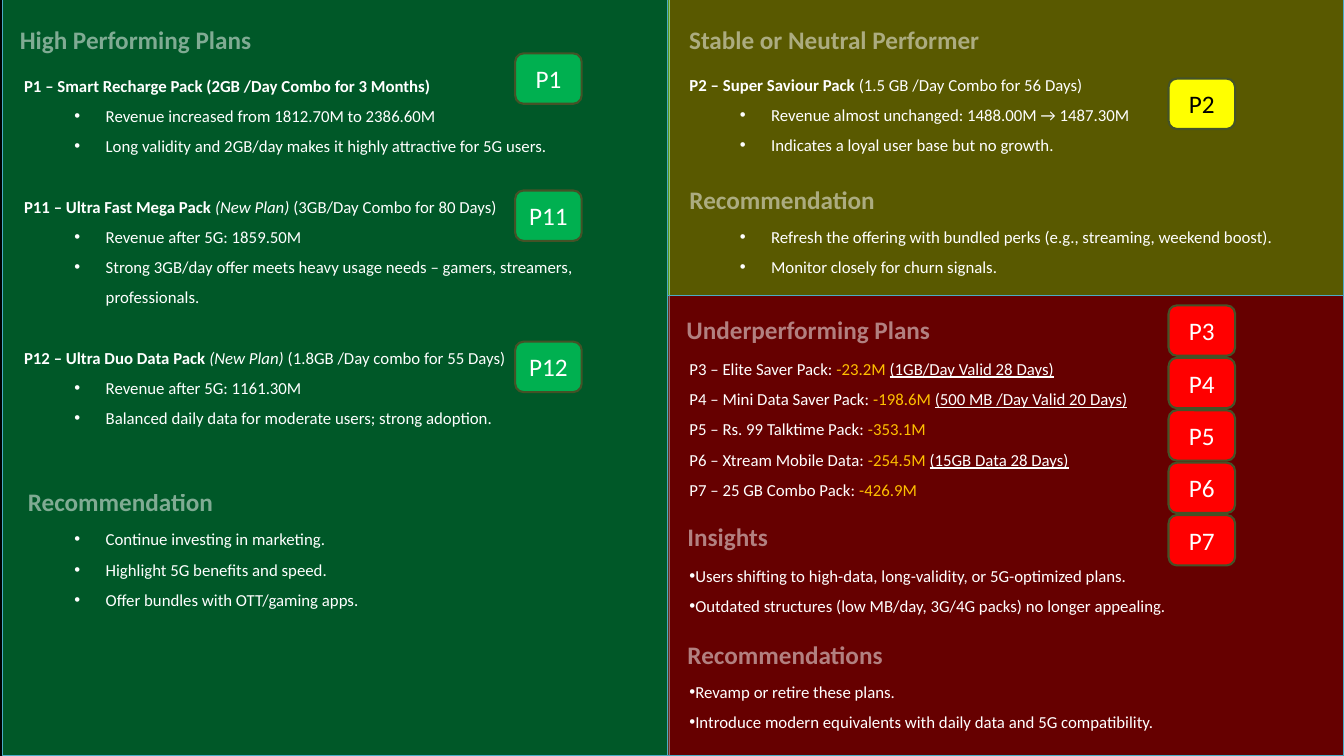
from lxml import etree
from pptx import Presentation
from pptx.dml.color import RGBColor
from pptx.enum.shapes import MSO_SHAPE as Shape
from pptx.enum.text import MSO_ANCHOR as Anchor, PP_ALIGN as Align
from pptx.oxml.ns import qn
from pptx.util import Inches, Pt

WIDTH, HEIGHT = 13.33, 7.5
SPLIT_X, SPLIT_Y = 6.62, 2.93
RIGHT_WIDTH = WIDTH - SPLIT_X
FONT = "Calibri"
BODY_SIZE, HEADING_SIZE = 12, 18
LINE_HEIGHT = 21.6  # points taken by one body line at 1.5 spacing
BADGE_WIDTH, BADGE_HEIGHT = 0.66, 0.5
BADGE_STEP = 0.52
LEFT_BADGES, RIGHT_BADGES = 5.11, 11.59

COLOURS = {
    "black": "000000", "white": "FFFFFF", "amber": "FFC000",
    "green": "00B050", "yellow": "FFFF00", "red": "FF0000",
    "panel line": "4BACC6", "badge line": "445227",
}

# left, top, width, height, colour, opacity in percent
PANELS = [
    (0.02, 0, SPLIT_X, HEIGHT, "green", 50),
    (SPLIT_X, 0, RIGHT_WIDTH, SPLIT_Y, "yellow", 35),
    (SPLIT_X, SPLIT_Y, RIGHT_WIDTH, HEIGHT - SPLIT_Y, "red", 40),
]

# text, left, top, width, alignment
HEADINGS = [
    ("High Performing Plans", 0.03, 0.19, 2.63, Align.CENTER),
    ("Recommendation", -0.12, 4.78, 2.63, Align.CENTER),
    ("Stable or Neutral Performer", 6.66, 0.19, 3.23, Align.CENTER),
    ("Recommendation", 6.74, 1.78, 2.3, Align.LEFT),
    ("Underperforming Plans", 6.71, 3.07, 3.23, Align.LEFT),
    ("Insights", 6.72, 5.12, 3.23, Align.LEFT),
    ("Recommendations", 6.72, 6.29, 3.23, Align.LEFT),
]

# Each line is (kind, [(text, style), ...]); bullets are "indented" or "flush".
HIGH_PLANS = [
    ("plan", [("P1 – Smart Recharge Pack (2GB /Day Combo for 3 Months)", "bold")]),
    ("indented", [("Revenue increased from 1812.70M to 2386.60M", "")]),
    ("indented", [("Long validity and 2GB/day makes it highly attractive for 5G users.", "")]),
    ("plan", [("P11 – Ultra Fast Mega Pack ", "bold"), ("(New Plan) ", "italic"),
              ("(3GB/Day Combo for 80 Days)", "")]),
    ("indented", [("Revenue after 5G: 1859.50M", "")]),
    ("indented", [("Strong 3GB/day offer meets heavy usage needs – gamers, streamers, "
                   "professionals.", "")]),
    ("plan", [("P12 – Ultra Duo Data Pack ", "bold"), ("(New Plan) ", "italic"),
              ("(1.8GB /Day combo for 55 Days)", "")]),
    ("indented", [("Revenue after 5G: 1161.30M", "")]),
    ("indented", [("Balanced daily data for moderate users; strong adoption.", "")]),
]
HIGH_ACTIONS = [
    ("indented", [("Continue investing in marketing.", "")]),
    ("indented", [("Highlight 5G benefits and speed.", "")]),
    ("indented", [("Offer bundles with OTT/gaming apps.", "")]),
]
STABLE_PLANS = [
    ("plan", [("P2 – Super Saviour Pack ", "bold"), ("(1.5 GB /Day Combo for 56 Days)", "")]),
    ("indented", [("Revenue almost unchanged: 1488.00M → 1487.30M", "")]),
    ("indented", [("Indicates a loyal user base but no growth.", "")]),
]
STABLE_ACTIONS = [
    ("indented", [("Refresh the offering with bundled perks "
                   "(e.g., streaming, weekend boost).", "")]),
    ("indented", [("Monitor closely for churn signals.", "")]),
]
LOSING_PLANS = [
    ("plain", [("P3 – Elite Saver Pack: ", ""), ("-23.2M ", "loss"),
               ("(1GB/Day Valid 28 Days)", "underline")]),
    ("plain", [("P4 – Mini Data Saver Pack: ", ""), ("-198.6M ", "loss"),
               ("(500 MB /Day Valid 20 Days)", "underline")]),
    ("plain", [("P5 – Rs. 99 Talktime Pack: ", ""), ("-353.1M", "loss")]),
    ("plain", [("P6 – Xtream Mobile Data: ", ""), ("-254.5M ", "loss"),
               ("(15GB Data 28 Days)", "underline")]),
    ("plain", [("P7 – 25 GB Combo Pack: ", ""), ("-426.9M", "loss")]),
]
INSIGHTS = [
    ("flush", [("Users shifting to high-data, long-validity, or 5G-optimized plans.", "")]),
    ("flush", [("Outdated structures (low MB/day, 3G/4G packs) no longer appealing.", "")]),
]
LOSING_ACTIONS = [
    ("flush", [("Revamp or retire these plans.", "")]),
    ("flush", [("Introduce modern equivalents with daily data and 5G compatibility.", "")]),
]

# lines, left, top, width
BODIES = [
    (HIGH_PLANS, 0.14, 0.6, 6.58),
    (HIGH_ACTIONS, 0.14, 5.1, 6.58),
    (STABLE_PLANS, 6.74, 0.59, 6.36),
    (STABLE_ACTIONS, 6.74, 2.1, 6.36),
    (LOSING_PLANS, 6.74, 3.41, 6.5),
    (INSIGHTS, 6.74, 5.46, 6.5),
    (LOSING_ACTIONS, 6.74, 6.61, 6.5),
]

# label, left, top, fill colour, text colour
BADGES = [
    ("P1", LEFT_BADGES, 0.53, "green", "white"),
    ("P11", LEFT_BADGES, 1.89, "green", "white"),
    ("P12", LEFT_BADGES, 3.39, "green", "white"),
    ("P2", RIGHT_BADGES, 0.78, "yellow", "black"),
] + [
    (f"P{3 + row}", RIGHT_BADGES, 3.03 + row * BADGE_STEP, "red", "white")
    for row in range(5)
]


def colour(name):
    return RGBColor.from_string(COLOURS[name])


def set_opacity(holder, percent):
    """Make the solid fill found inside an XML element see-through."""
    tint = holder.find(qn("a:solidFill")).find(qn("a:srgbClr"))
    etree.SubElement(tint, qn("a:alpha")).set("val", str(percent * 1000))


def add_block(page, kind, area, fill, line, line_width):
    block = page.shapes.add_shape(kind, *map(Inches, area))
    block.shadow.inherit = False
    block.fill.solid()
    block.fill.fore_color.rgb = colour(fill)
    block.line.color.rgb = colour(line)
    block.line.width = Pt(line_width)
    return block


def add_text_frame(page, left, top, width, height):
    box = page.shapes.add_textbox(*map(Inches, (left, top, width, height)))
    box.text_frame.word_wrap = True
    return box.text_frame


def format_span(span, size, name="white"):
    span.font.name = FONT
    span.font.size = Pt(size)
    span.font.color.rgb = colour(name)


def add_bullet(para, indented):
    properties = para._p.get_or_add_pPr()
    if indented:
        properties.set("lvl", "1")
    properties.set("marL", str(Inches(0.81 if indented else 0)))
    properties.set("indent", str(Inches(-0.31 if indented else 0)))
    etree.SubElement(properties, qn("a:buFont")).set("typeface", "Arial")
    etree.SubElement(properties, qn("a:buChar")).set("char", "•")


def add_heading(page, text, left, top, width, alignment):
    para = add_text_frame(page, left, top, width, 0.4).paragraphs[0]
    para.text = text
    para.alignment = alignment
    span = para.runs[0]
    format_span(span, HEADING_SIZE)
    span.font.bold = True
    set_opacity(span.font._element, 50)


def add_body(page, lines, left, top, width):
    height = 0.1 + len(lines) * LINE_HEIGHT / 72
    frame = add_text_frame(page, left, top, width, height)
    for index, (kind, pieces) in enumerate(lines):
        para = frame.add_paragraph() if index else frame.paragraphs[0]
        if kind in ("indented", "flush"):
            add_bullet(para, kind == "indented")
        para.line_spacing = 1.5
        if kind == "plan" and index:
            para.space_before = Pt(LINE_HEIGHT)
        for text, style in pieces:
            span = para.add_run()
            span.text = text
            format_span(span, BODY_SIZE, "amber" if style == "loss" else "white")
            span.font.bold = style == "bold"
            span.font.italic = style == "italic"
            span.font.underline = style == "underline"


def add_badge(page, label, left, top, fill, text_colour):
    area = (left, top, BADGE_WIDTH, BADGE_HEIGHT)
    frame = add_block(page, Shape.ROUNDED_RECTANGLE, area, fill, "badge line", 1.5).text_frame
    frame.vertical_anchor = Anchor.MIDDLE
    frame.text = label
    frame.paragraphs[0].alignment = Align.CENTER
    format_span(frame.paragraphs[0].runs[0], HEADING_SIZE, text_colour)


def main():
    deck = Presentation()
    deck.slide_width, deck.slide_height = Inches(WIDTH), Inches(HEIGHT)
    page = deck.slides.add_slide(deck.slide_layouts.get_by_name("Blank"))
    page.background.fill.solid()
    page.background.fill.fore_color.rgb = colour("black")
    for *area, fill, opacity in PANELS:
        panel = add_block(page, Shape.RECTANGLE, area, fill, "panel line", 0.75)
        set_opacity(panel._element.spPr, opacity)
    for heading in HEADINGS:
        add_heading(page, *heading)
    for body in BODIES:
        add_body(page, *body)
    for badge in BADGES:
        add_badge(page, *badge)
    deck.save("out.pptx")


if __name__ == "__main__":
    main()
